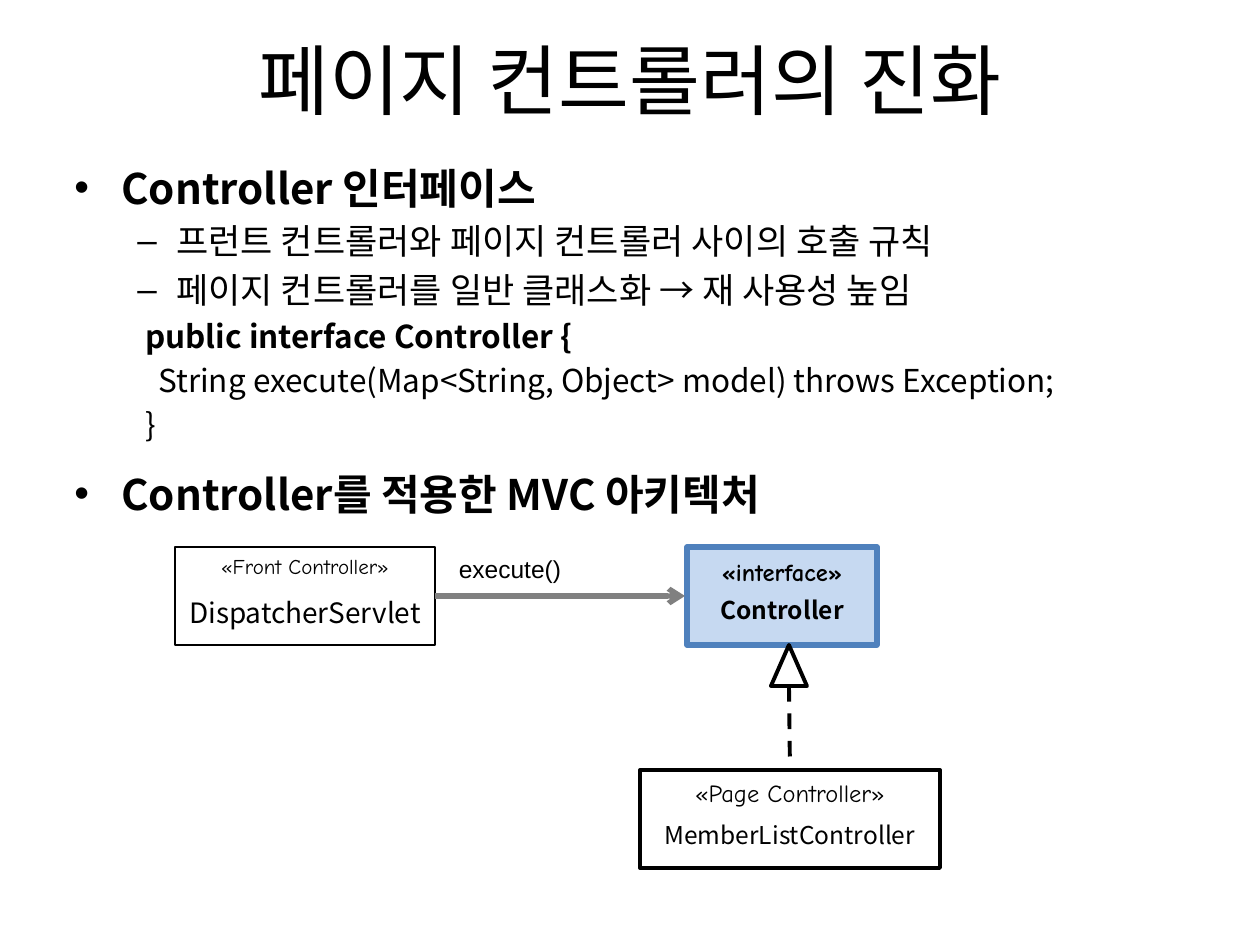
from dataclasses import dataclass

from lxml import etree
from pptx import Presentation
from pptx import util as u
from pptx.dml.color import RGBColor
from pptx.enum import dml, shapes, text
from pptx.oxml.ns import qn

SCALE = 914400 / 126


@dataclass(frozen=True)
class Theme:
    """Hold the colours, fonts and type sizes of the slide."""
    ink: str = "000000"
    accent: str = "4F81BD"
    accent_fill: str = "C6D9F1"
    call: str = "808080"
    sans: str = "Noto Sans CJK KR"
    stereotype: str = "Comic Neue"
    label: str = "Arial"
    title: int = 44
    heading: int = 24
    point: int = 20
    code: int = 18
    name: int = 16
    small: int = 14
    tiny: int = 12


THEME = Theme()


def px(length):
    """Turn pixels into EMU."""
    return u.Emu(round(length * SCALE))


def text_frame(slide, box, anchor=text.MSO_ANCHOR.TOP):
    """Add a wrapping text box and return its frame."""
    frame = slide.shapes.add_textbox(*map(px, box)).text_frame
    frame.word_wrap = True
    frame.vertical_anchor = anchor
    return frame


def write(frame, wording, size, font=THEME.sans, bold=False, align=None,
          bullet=None, indent=0, hang=0, before=0):
    """Write one paragraph into the frame with the given format."""
    first = frame.paragraphs[0]
    paragraph = frame.add_paragraph() if first.runs else first
    paragraph.alignment = align
    paragraph.space_before = u.Pt(before)
    run = paragraph.add_run()
    run.text = wording
    run.font.size = u.Pt(size)
    run.font.name = font
    run.font.bold = bold
    run.font.color.rgb = RGBColor.from_string(THEME.ink)
    etree.SubElement(run.font._element, qn("a:ea")).set("typeface", font)
    properties = paragraph._p.get_or_add_pPr()
    properties.set("marL", str(px(indent)))
    properties.set("indent", str(-px(hang)))
    if bullet:
        etree.SubElement(properties, qn("a:buFont")).set("typeface", "Arial")
        etree.SubElement(properties, qn("a:buChar")).set("char", bullet)


def outline(line, colour, width):
    """Set the colour and width of a line."""
    line.color.rgb = RGBColor.from_string(colour)
    line.width = u.Pt(width)


def plain_shape(slide, kind, box, width, colour=THEME.ink, fill=None):
    """Add an outlined preset shape."""
    shape = slide.shapes.add_shape(kind, *map(px, box))
    shape.shadow.inherit = False
    if fill:
        shape.fill.solid()
        shape.fill.fore_color.rgb = RGBColor.from_string(fill)
    else:
        shape.fill.background()
    outline(shape.line, colour, width)


def connect(slide, start, end, colour, width, dash=None, arrow=None):
    """Join two points by a straight line."""
    connector = slide.shapes.add_connector(
        shapes.MSO_CONNECTOR.STRAIGHT, *map(px, (*start, *end)))
    outline(connector.line, colour, width)
    if dash:
        connector.line.dash_style = dash
    if arrow:
        line = connector.line._get_or_add_ln()
        etree.SubElement(line, qn("a:tailEnd")).set("type", arrow)
    etree.SubElement(connector._element.spPr, qn("a:effectLst"))


def title(slide, box, wording):
    """Place the centred slide title."""
    frame = text_frame(slide, box, text.MSO_ANCHOR.MIDDLE)
    write(frame, wording, THEME.title, align=text.PP_ALIGN.CENTER)


def section(slide, box, heading, points=(), code=()):
    """Place a heading with its points and indented code lines."""
    frame = text_frame(slide, box)
    write(frame, heading, THEME.heading, bold=True, bullet="•",
          indent=47, hang=47)
    for point in points:
        write(frame, point, THEME.point, bullet="–", indent=102, hang=39,
              before=THEME.point * 0.2)
    for wording, indent, bold in code:
        write(frame, wording, THEME.code, bold=bold, indent=indent,
              before=THEME.code * 0.2)


def class_box(slide, box, stereotype, name, offsets, sizes, bold=False, **frame_style):
    """Place a class frame with its stereotype above its name."""
    left, top, width, _ = box
    plain_shape(slide, shapes.MSO_SHAPE.RECTANGLE, box, **frame_style)
    fonts = (THEME.stereotype, THEME.sans)
    for wording, offset, size, font in zip((stereotype, name), offsets, sizes, fonts):
        frame = text_frame(slide, (left, top + offset, width, 43))
        write(frame, wording, size, font, bold, text.PP_ALIGN.CENTER)


def architecture(slide, box):
    """Place the class diagram of the MVC architecture."""
    left, top, _, _ = box
    class_box(slide, (left, top, 260, 98), "«Front Controller»", "DispatcherServlet",
              (0, 42), (THEME.tiny, THEME.name), width=1)
    class_box(slide, (left + 512, top, 190, 98), "«interface»", "Controller",
              (4, 42), (THEME.small, THEME.small), bold=True,
              width=3, colour=THEME.accent, fill=THEME.accent_fill)
    class_box(slide, (left + 465, top + 223, 300, 98), "«Page Controller»",
              "MemberListController", (2, 44), (THEME.small, THEME.small), width=2.25)
    call = text_frame(slide, (left + 260, top + 1, 145, 43))
    write(call, "execute()", THEME.small, THEME.label,
          align=text.PP_ALIGN.CENTER, indent=5)
    plain_shape(slide, shapes.MSO_SHAPE.ISOSCELES_TRIANGLE,
                (left + 596, top + 98, 36, 41), 2.25)
    connect(slide, (left + 614, top + 139), (left + 615, top + 223),
            THEME.ink, 2.25, dash=dml.MSO_LINE.DASH)
    connect(slide, (left + 260, top + 49), (left + 510, top + 49),
            THEME.call, 3, arrow="arrow")


def main():
    """Build and save the slide."""
    deck = Presentation()
    deck.slide_width, deck.slide_height = px(1260), px(945)
    slide = deck.slides.add_slide(deck.slide_layouts[6])
    title(slide, (63, 0, 1134, 158), "페이지 컨트롤러의 진화")
    section(slide, (62, 156, 1134, 321), "Controller 인터페이스",
            ("프런트 컨트롤러와 페이지 컨트롤러 사이의 호출 규칙",
             "페이지 컨트롤러를 일반 클래스화 → 재 사용성 높임"),
            (("public interface Controller {", 71, True),
             ("String execute(Map<String, Object> model) throws Exception;", 84, False),
             ("}", 71, False)))
    section(slide, (62, 462, 1134, 83), "Controller를 적용한 MVC 아키텍처")
    architecture(slide, (175, 547, 765, 321))
    deck.save("out.pptx")


main()
